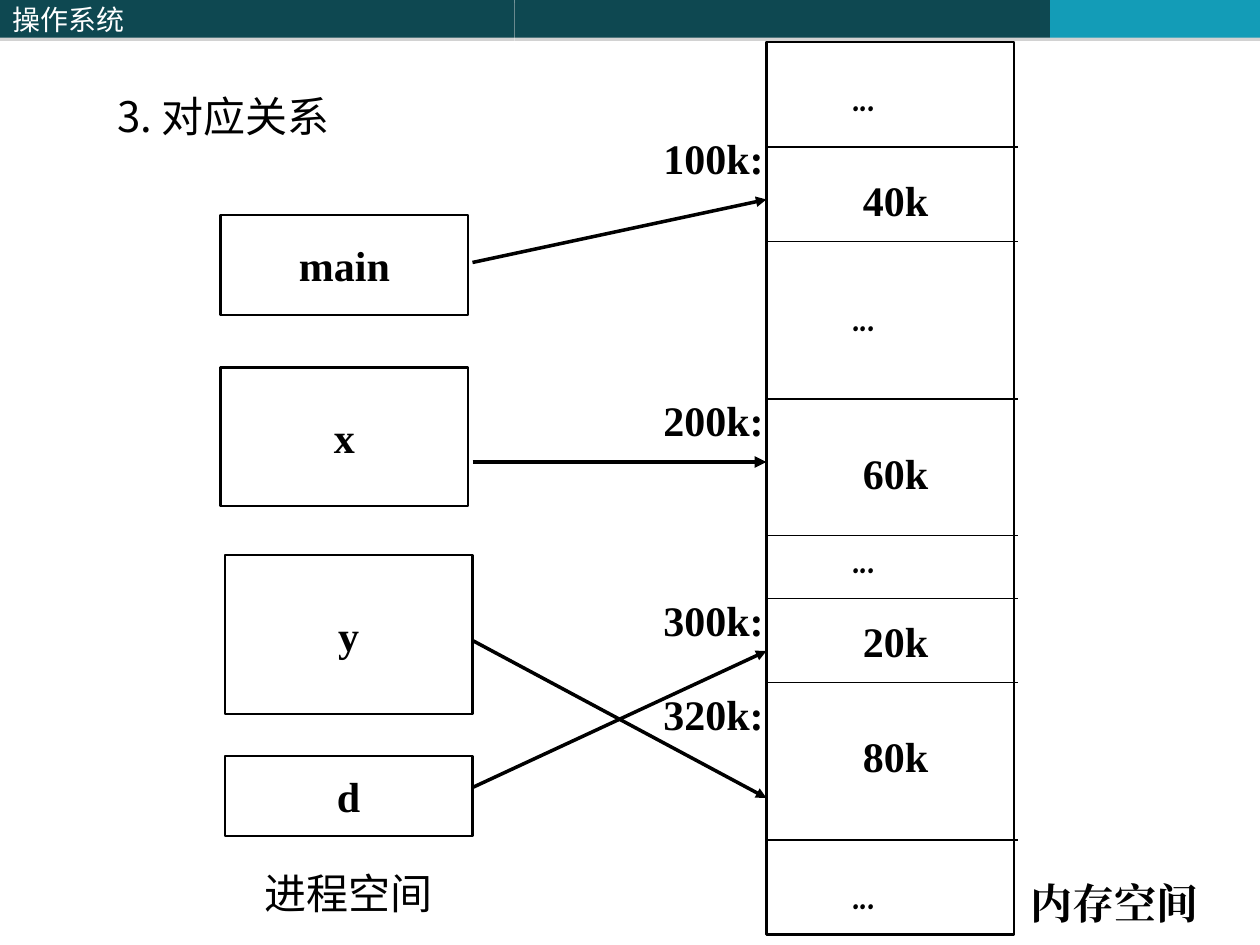
from typing import NamedTuple

from lxml.etree import SubElement
from pptx import Presentation
from pptx.dml.color import RGBColor
from pptx.enum.shapes import MSO_CONNECTOR, MSO_SHAPE
from pptx.enum.text import MSO_ANCHOR, MSO_AUTO_SIZE, PP_ALIGN
from pptx.oxml.ns import qn
from pptx.util import Inches, Pt

BLACK = RGBColor(0x00, 0x00, 0x00)
WHITE = RGBColor(0xFF, 0xFF, 0xFF)
DARK_TEAL = RGBColor(0x0E, 0x48, 0x51)
BRIGHT_TEAL = RGBColor(0x13, 0x9C, 0xB7)

SERIF = "Times New Roman"
CJK = "Noto Sans CJK SC"
DOTS = "Comic Neue"

# The slide is a grid of 120 columns by 90 rows, 12 to the inch
CELLS_PER_INCH = 12
MEMORY_LEFT = 73
MEMORY_TOP = 4
ARROW_START = 45
BOX_WIDTH = 23.6


class Bar(NamedTuple):
    col: float
    width: float
    color: RGBColor


class Segment(NamedTuple):
    name: str
    col: float
    row: float
    height: float


class Label(NamedTuple):
    text: str
    col: float
    row: float
    width: float
    font: str = SERIF
    bold: bool = True
    fill: RGBColor | None = None


class Mapping(NamedTuple):
    from_row: float
    to_row: float
    weight: float = 2


BARS = [Bar(0, 49, DARK_TEAL), Bar(49, 51, DARK_TEAL), Bar(100, 20, BRIGHT_TEAL)]
SEGMENTS = [
    Segment("main", 21, 20.5, 9.5),
    Segment("x", 21, 35, 13.2),
    Segment("y", 21.4, 52.9, 15.1),
    Segment("d", 21.4, 72, 7.6),
]
DIVIDER_ROWS = [14, 23, 38, 51, 57, 65, 80]
SIZES = [("40k", 16), ("60k", 42), ("80k", 69), ("20k", 58)]
GAP_ROWS = [82, 27, 6, 50]
ADDRESSES = [("100k:", 12), ("200k:", 37), ("300k:", 56), ("320k:", 65)]
LABELS = [
    Label("3. 对应关系", 10, 8, 52, CJK, False),
    *(Label(size, 81, row, 13, fill=WHITE if size == "40k" else None)
      for size, row in SIZES),
    *(Label("...", 80, row, 10, DOTS) for row in GAP_ROWS),
    Label("进程空间", 24, 82, 19, CJK, False),
    Label("内存空间", 97, 83, 19),
    *(Label(address, 62, row, 13) for address, row in ADDRESSES),
]
MAPPINGS = [Mapping(25, 19), Mapping(44, 44, 2.25), Mapping(75, 62), Mapping(61, 76)]


def cells(count: float) -> int:
    return Inches(count / CELLS_PER_INCH)


def write(shape, text: str, font: str, size: float, color: RGBColor, bold: bool = False) -> None:
    shape.text_frame.text = text
    run = shape.text_frame.paragraphs[0].runs[0]
    run.font.name = font
    run.font.size = Pt(size)
    run.font.bold = bold
    run.font.color.rgb = color
    SubElement(run.font._element, qn("a:ea"), typeface=font)


def add_block(slide, col: float, row: float, width: float, height: float, fill: RGBColor):
    block = slide.shapes.add_shape(
        MSO_SHAPE.RECTANGLE, cells(col), cells(row), cells(width), cells(height))
    block.shadow.inherit = False
    block.fill.solid()
    block.fill.fore_color.rgb = fill
    block.line.fill.background()
    return block


def add_bar(slide, bar: Bar):
    block = add_block(slide, bar.col, 0, bar.width, 3.6, bar.color)
    effects = block._element.spPr.find(qn("a:effectLst"))
    shadow = SubElement(effects, qn("a:outerShdw"), dist=str(Pt(1.8)), dir="5400000",
                        algn="ctr", rotWithShape="0")
    gray = SubElement(shadow, qn("a:srgbClr"), val="808080")
    SubElement(gray, qn("a:alpha"), val="35000")
    return block


def add_outlined(slide, col: float, row: float, height: float):
    block = add_block(slide, col, row, BOX_WIDTH, height, WHITE)
    block.line.color.rgb = BLACK
    block.line.width = Pt(1.25)
    return block


def add_segment(slide, segment: Segment) -> None:
    block = add_outlined(slide, segment.col, segment.row, segment.height)
    write(block, segment.name, SERIF, 24, BLACK, True)
    block.text_frame.word_wrap = False
    block.text_frame.vertical_anchor = MSO_ANCHOR.MIDDLE
    block.text_frame.paragraphs[0].alignment = PP_ALIGN.CENTER


def add_label(slide, label: Label) -> None:
    box = slide.shapes.add_textbox(
        cells(label.col), cells(label.row), cells(label.width), cells(6))
    write(box, label.text, label.font, 24, BLACK, label.bold)
    box.text_frame.word_wrap = True
    box.text_frame.auto_size = MSO_AUTO_SIZE.SHAPE_TO_FIT_TEXT
    if label.fill is not None:
        box.fill.solid()
        box.fill.fore_color.rgb = label.fill


def add_line(slide, start: tuple[float, float], end: tuple[float, float],
             weight: float, arrow: bool = False) -> None:
    line = slide.shapes.add_connector(
        MSO_CONNECTOR.STRAIGHT, *map(cells, start), *map(cells, end))
    line.line.color.rgb = BLACK
    line.line.width = Pt(weight)
    if arrow:
        SubElement(line.line._get_or_add_ln(), qn("a:tailEnd"), type="triangle")
    SubElement(line._element.spPr, qn("a:effectLst"))


def main() -> None:
    deck = Presentation()
    deck.slide_width, deck.slide_height = Inches(10), Inches(7.5)
    slide = deck.slides.add_slide(deck.slide_layouts[6])

    # Header band with the course name
    course, *_ = [add_bar(slide, bar) for bar in BARS]
    write(course, "操作系统", CJK, 16, WHITE)
    course.text_frame.vertical_anchor = MSO_ANCHOR.MIDDLE
    course.text_frame.paragraphs[0].alignment = PP_ALIGN.LEFT

    # Memory column and process segments
    add_outlined(slide, MEMORY_LEFT, MEMORY_TOP, 85)
    for segment in SEGMENTS:
        add_segment(slide, segment)
    for row in DIVIDER_ROWS:
        add_line(slide, (MEMORY_LEFT, row), (MEMORY_LEFT + 24, row), 0.75)

    # Heading, sizes, addresses and captions
    for label in LABELS:
        add_label(slide, label)

    # Arrows from each segment to its place in memory
    for mapping in MAPPINGS:
        add_line(slide, (ARROW_START, mapping.from_row), (MEMORY_LEFT, mapping.to_row),
                 mapping.weight, arrow=True)

    deck.save("out.pptx")


if __name__ == "__main__":
    main()
